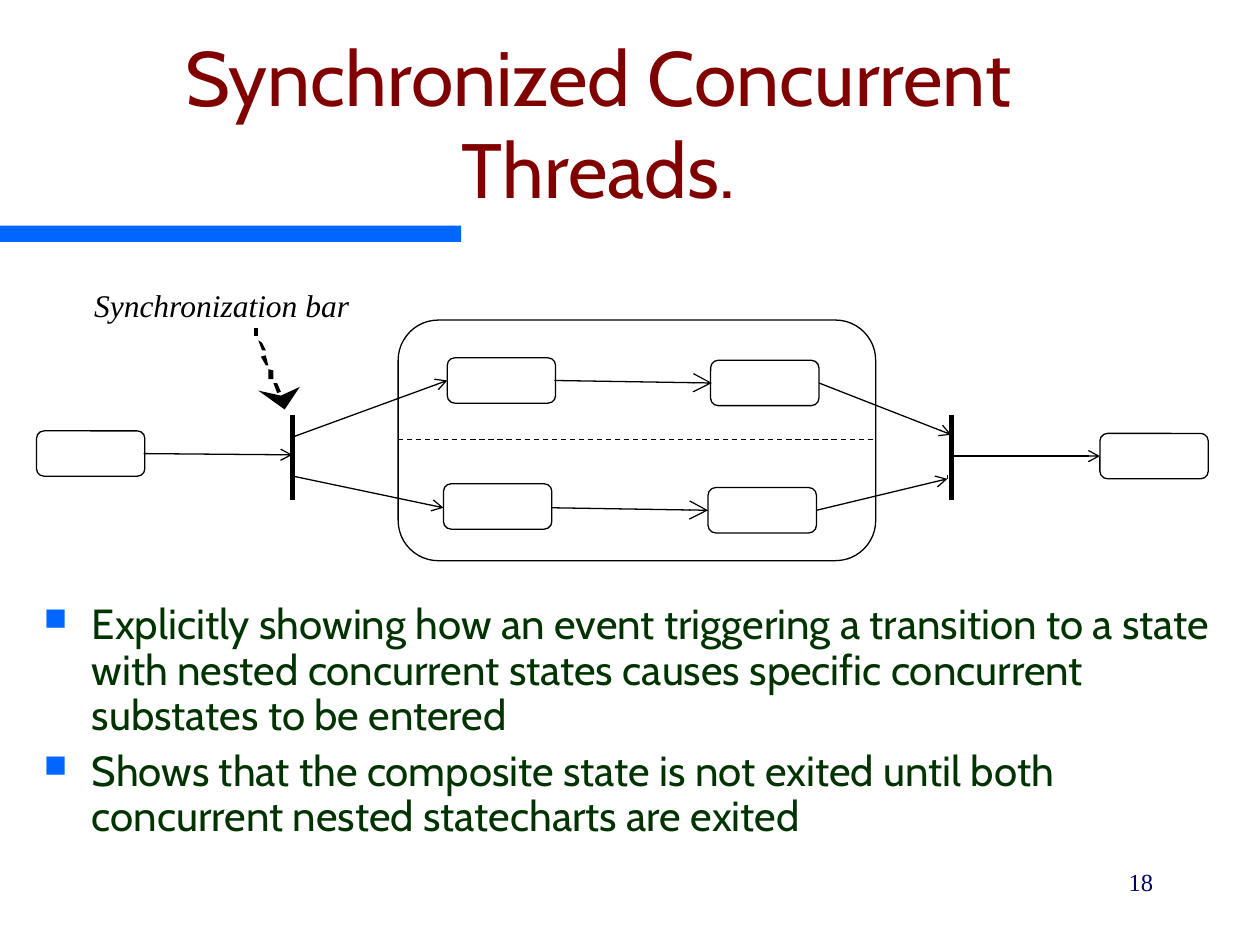
from dataclasses import dataclass
from lxml.etree import SubElement
from pptx import Presentation
from pptx.dml.color import RGBColor
from pptx.enum.dml import MSO_LINE
from pptx.enum.shapes import MSO_CONNECTOR, MSO_SHAPE
from pptx.enum.text import MSO_ANCHOR, PP_ALIGN
from pptx.oxml.ns import qn
from pptx.util import Inches, Pt


@dataclass(frozen=True)
class Theme:
    accent: str = "0066FF"
    title: str = "800000"
    body: str = "003300"
    ink: str = "000000"
    number: str = "000066"
    sans: str = "Cabin"
    serif: str = "Times New Roman"
    title_size: int = 44
    body_size: int = 24
    label_size: int = 18
    number_size: int = 14
    thin: float = 0.75
    thick: float = 3


T = Theme()
COLS, ROWS = 100, 75       # grid over the slide
CELL = Inches(10) // COLS
STATE = (8.6, 3.6)         # width and height of a state box
BULLETS = [
    "Explicitly showing how an event triggering a transition to a state with "
    "nested concurrent states causes specific concurrent substates to be entered",
    "Shows that the composite state is not exited until both concurrent nested "
    "statecharts are exited",
]


def grid(*lengths):
    return [round(n * CELL) for n in lengths]


def set_attrs(obj, **formats):
    for name, value in formats.items():
        setattr(obj, name, value)


def paint(shape, color):
    shape.shadow.inherit = False
    shape.fill.solid()
    shape.fill.fore_color.rgb = RGBColor.from_string(color)
    shape.line.fill.background()


def add_text(s, box, paragraphs, font, size, color, inset=True, italic=False,
             anchor=MSO_ANCHOR.TOP, wrap=True, **para):
    tf = s.shapes.add_textbox(*grid(*box)).text_frame
    set_attrs(tf, word_wrap=wrap, vertical_anchor=anchor)
    if not inset:
        set_attrs(tf, margin_left=0, margin_right=0, margin_top=0, margin_bottom=0)
    for i, text in enumerate(paragraphs):
        p = tf.add_paragraph() if i else tf.paragraphs[0]
        set_attrs(p, **para)
        r = p.add_run()
        r.text = text
        set_attrs(r.font, name=font, size=Pt(size), italic=italic)
        r.font.color.rgb = RGBColor.from_string(color)
    return tf


def add_bullet(p, indent):
    pPr = p._p.get_or_add_pPr()
    pPr.set("marL", str(indent))
    pPr.set("indent", str(-indent))
    color = SubElement(pPr, qn("a:buClr"))
    SubElement(color, qn("a:srgbClr"), val=T.accent)
    SubElement(pPr, qn("a:buSzPct"), val="75000")
    SubElement(pPr, qn("a:buChar"), char="■")


def add_round_box(s, x, y, w, h):
    sp = s.shapes.add_shape(MSO_SHAPE.ROUNDED_RECTANGLE, *grid(x, y, w, h))
    sp.shadow.inherit = False
    sp.adjustments[0] = 0.167
    sp.fill.background()
    sp.line.color.rgb = RGBColor.from_string(T.ink)
    sp.line.width = Pt(T.thin)


def add_line(s, x1, y1, x2, y2, width=T.thin, dash=None, arrow=None):
    c = s.shapes.add_connector(MSO_CONNECTOR.STRAIGHT, *grid(x1, y1, x2, y2))
    c.line.color.rgb = RGBColor.from_string(T.ink)
    set_attrs(c.line, width=Pt(width), dash_style=dash)
    if arrow:
        SubElement(c.line._get_or_add_ln(), qn("a:tailEnd"),
                   type="arrow", w=arrow, len=arrow)
    SubElement(c._element.spPr, qn("a:effectLst"))


def add_polygon(s, points):
    start, *rest = [grid(*point) for point in points]
    fb = s.shapes.build_freeform(*start, scale=1.0)
    fb.add_line_segments(rest, close=True)
    paint(fb.convert_to_shape(), T.ink)


def add_pointer(s):
    # Dashes: top corners, then bottom corners
    dashes = [
        ((20.2, 26), (20.5, 26), (20.5, 26.7), (20.2, 26.7)),
        ((20.5, 27), (20.8, 27.2), (21.1, 27.8), (20.8, 27.8)),
        ((20.7, 28.3), (21.1, 28.2), (21.3, 29), (21.1, 29)),
        ((21.3, 29.3), (21.7, 29.4), (21.7, 30.1), (21.3, 30.1)),
        ((21.7, 30.4), (22, 30.4), (22.3, 31.1), (22, 31.2)),
        ((22, 31.5), (22.3, 31.5), (22.6, 31.7), (22.3, 31.7)),
    ]
    head = ((20.5, 31), (22.6, 32.5), (23.8, 30.7), (22.3, 31.4))
    for points in (*dashes, head):
        add_polygon(s, points)


def add_diagram(s):
    # Composite state with its divider
    add_round_box(s, 31.6, 25.4, 37.9, 19.1)
    add_line(s, 31.6, 34.9, 69.5, 34.9, dash=MSO_LINE.DASH)
    # States: outer pair, then upper and lower threads
    for x, y in [(2.9, 34.2), (87.3, 34.4), (35.5, 28.4), (56.4, 28.6),
                 (35.2, 38.4), (56.2, 38.7)]:
        add_round_box(s, x, y, *STATE)
    # Synchronization bars, each in two halves
    for x in (23.2, 75.5):
        for y in (32.9, 36.3):
            add_line(s, x, y, x, y + 3.4, width=T.thick)
    # Short ticks where the threads meet the bars
    for tick in [(23.1, 34.4, 23.2, 34.7), (23.3, 37.8, 23.3, 38.1),
                 (75.5, 34.5, 75.6, 34.8), (75.2, 37.7, 75.2, 38)]:
        add_line(s, *tick)
    # Transitions
    for ends in [(11.4, 36, 23.2, 36.1), (75.5, 36.2, 87.3, 36.2),
                 (23.2, 34.7, 35.5, 30.2), (23.3, 37.8, 35.2, 40.3),
                 (65, 30.4, 75.5, 34.5), (64.8, 40.5, 75.2, 38)]:
        add_line(s, *ends, arrow="med")
    for ends in [(44, 30.2, 56.5, 30.4), (43.8, 40.3, 56.2, 40.5)]:
        add_line(s, *ends, arrow="lg")
    # Label and its dashed pointer
    add_text(s, (7.4, 22.7, 20.4, 3), ["Synchronization bar"], T.serif,
             T.label_size, T.ink, inset=False, italic=True, wrap=False,
             alignment=PP_ALIGN.CENTER)
    add_pointer(s)


def main():
    prs = Presentation()
    set_attrs(prs, slide_width=COLS * CELL, slide_height=ROWS * CELL)
    s = prs.slides.add_slide(prs.slide_layouts[6])
    # Title and accent bar
    bar = s.shapes.add_shape(MSO_SHAPE.RECTANGLE, *grid(0, 17.9, 36.6, 1.3))
    paint(bar, T.accent)
    add_text(s, (2.5, 5, 90, 12.5), ["Synchronized Concurrent Threads."], T.sans,
             T.title_size, T.title, anchor=MSO_ANCHOR.BOTTOM,
             alignment=PP_ALIGN.CENTER)
    add_diagram(s)
    # Bullets
    tf = add_text(s, (2.5, 47.4, 95.5, 23.4), BULLETS, T.sans, T.body_size, T.body,
                  line_spacing=0.9, space_before=Pt(6))
    for p in tf.paragraphs:
        add_bullet(p, *grid(3.8))
    # Slide number
    add_text(s, (71.7, 68.3, 20.8, 5), ["18"], T.serif, T.number_size, T.number,
             alignment=PP_ALIGN.RIGHT, space_before=Pt(8.8))
    prs.save("out.pptx")


if __name__ == "__main__":
    main()
